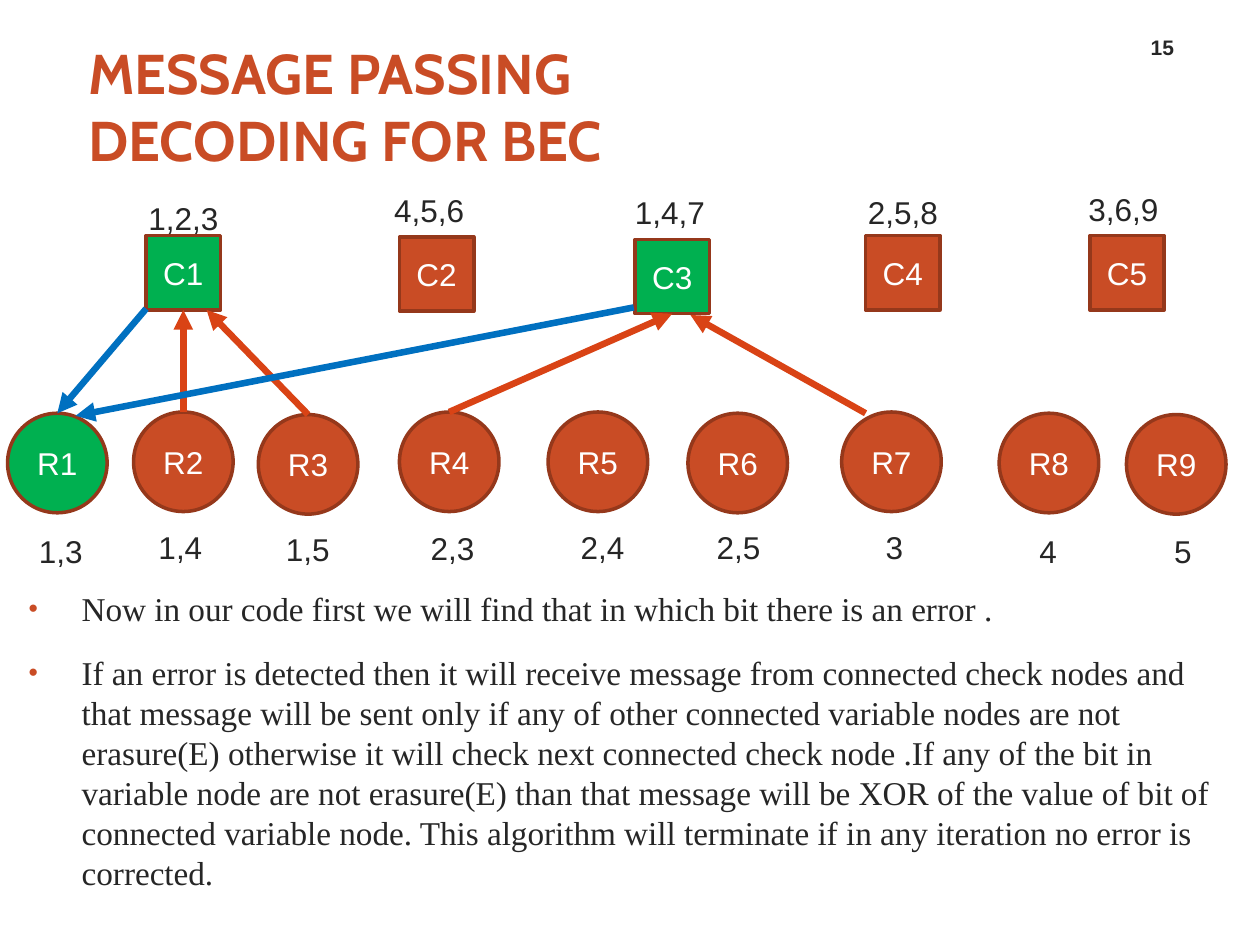
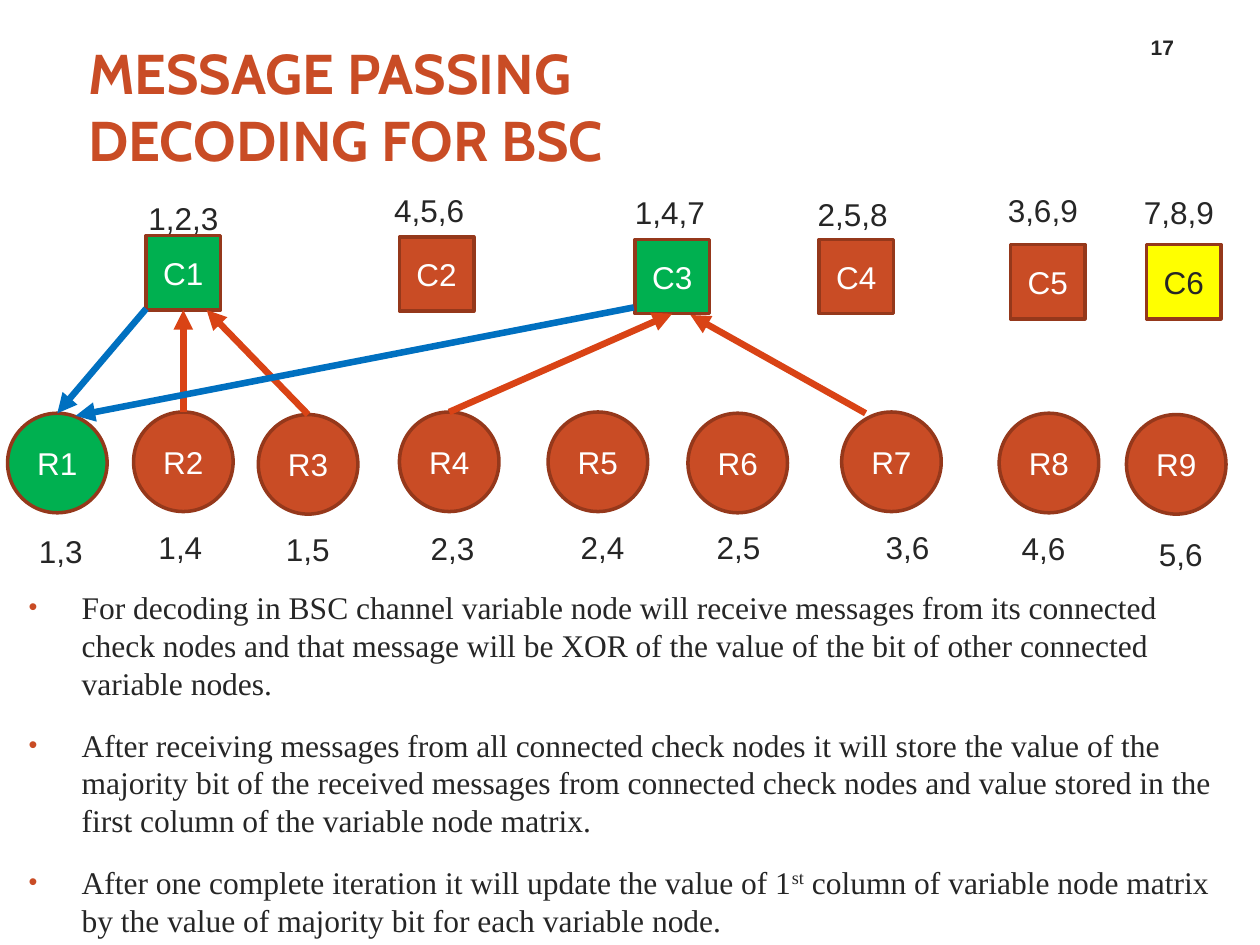
from pptx import Presentation
from pptx.dml.color import RGBColor as Rgb
from pptx.enum.shapes import MSO_CONNECTOR as Conn, MSO_SHAPE as Shape
from pptx.enum.text import MSO_ANCHOR as Anchor, MSO_AUTO_SIZE as Fit, PP_ALIGN as Align
from pptx.oxml.ns import qn
from pptx.util import Inches, Pt
from lxml.etree import SubElement

RUST = Rgb(0xC9, 0x4C, 0x25)
EDGE = Rgb(0x95, 0x38, 0x1B)
GREEN = Rgb(0x00, 0xB0, 0x50)
YELLOW = Rgb(0xFF, 0xFF, 0x00)
BLUE = Rgb(0x00, 0x70, 0xC0)
RED = Rgb(0xD9, 0x43, 0x15)
WHITE = Rgb(0xFF, 0xFF, 0xFF)
INK = Rgb(0x26, 0x26, 0x26)

BOX, DISC = 0.59, 0.79
FILLS = {"C1": GREEN, "C3": GREEN, "R1": GREEN, "C6": YELLOW}

BITS = [
    ("R1", 0.06, 3.28), ("R2", 1.06, 3.27), ("R3", 2.05, 3.29),
    ("R4", 3.17, 3.27), ("R5", 4.35, 3.27), ("R6", 5.46, 3.28),
    ("R7", 6.68, 3.27), ("R8", 7.93, 3.28), ("R9", 8.94, 3.29),
]
CHECKS = [("C1", 1.16, 1.87), ("C2", 3.17, 1.88), ("C3", 5.04, 1.9)]
LABELS = [
    ("1,2,3", 1.08, 1.53), ("4,5,6", 3.03, 1.47), ("1,4,7", 4.94, 1.48),
    ("1,3", 0.21, 4.17), ("1,4", 1.16, 4.14), ("1,5", 2.17, 4.16),
    ("2,3", 3.32, 4.15), ("2,4", 4.51, 4.14), ("2,5", 5.59, 4.14),
]
LINKS = [
    ("R2", "C1", RED),
    ("R3", (1.64, 2.46), RED),
    ("R4", "C3", RED),
    ((6.87, 3.28), (5.48, 2.5), RED),
    ((1.16, 2.45), "R1", BLUE),
    ((5.03, 2.44), (0.6, 3.3), BLUE),
]

SLIDES = [
    {
        "title": "MESSAGE PASSING DECODING FOR BEC",
        "page": "15",
        "size": 19,
        "checks": [("C4", 6.87, 1.87), ("C5", 8.65, 1.87)],
        "labels": [
            ("2,5,8", 6.79, 1.48), ("3,6,9", 8.54, 1.46),
            ("3", 6.93, 4.14), ("4", 8.15, 4.17), ("5", 9.22, 4.17),
        ],
        "points": [
            "Now in our code first we will find that in which bit there is an error .",
            "If an error is detected then it will receive message from connected check "
            "nodes and that message will be sent only if any of other connected variable "
            "nodes are not erasure(E) otherwise it will check next connected check node "
            ".If any of the bit in variable node are not erasure(E) than that message "
            "will be XOR of the value of bit of connected variable node. This algorithm "
            "will terminate if in any iteration no error is corrected.",
        ],
    },
    {
        "title": "MESSAGE PASSING DECODING FOR BSC",
        "page": "17",
        "size": 18,
        "checks": [("C4", 6.5, 1.9), ("C5", 8.02, 1.94), ("C6", 9.1, 1.94)],
        "labels": [
            ("2,5,8", 6.39, 1.5), ("3,6,9", 7.9, 1.47), ("7,8,9", 8.98, 1.48),
            ("3,6", 6.93, 4.14), ("4,6", 8.01, 4.15), ("5,6", 9.1, 4.2),
        ],
        "points": [
            "For decoding in BSC channel variable node will receive messages from its "
            "connected check nodes and that message will be XOR of the value of the bit "
            "of other connected variable nodes.",
            "After receiving messages from all connected check nodes it will store the "
            "value of the majority bit of the received messages from connected check "
            "nodes and value stored in the first column of the variable node matrix.",
            "After one complete iteration it will update the value of 1^st^ column of "
            "variable node matrix by the value of majority bit for each variable node.",
        ],
    },
]


def style(para, size, color, face="Arial", bold=False):
    font = para.font
    font.name, font.size, font.bold = face, Pt(size), bold
    font.color.rgb = color


def add_title(slide, text):
    title = slide.shapes.title
    title.left, title.top = Inches(0.5), Inches(0.4)
    title.width, title.height = Inches(5.33), Inches(0.87)
    frame = title.text_frame
    frame.text = text
    frame.auto_size = Fit.NONE
    frame.vertical_anchor = Anchor.MIDDLE
    frame.margin_left = frame.margin_right = 0
    para = frame.paragraphs[0]
    para.alignment = Align.LEFT
    props = para._p.get_or_add_pPr()
    props.set("marL", str(Inches(0.2)))
    props.set("indent", "0")
    style(para, 32, RUST, "Cabin", True)


def add_text(slide, x, y, w, h, text=""):
    box = slide.shapes.add_textbox(Inches(x), Inches(y), Inches(w), Inches(h))
    frame = box.text_frame
    frame.word_wrap = True
    frame.text = text
    return frame


def add_label(slide, text, x, y):
    style(add_text(slide, x, y, 1.07, 0.4, text).paragraphs[0], 18, INK)


def add_page(slide, text):
    frame = add_text(slide, 8.95, 0.19, 0.55, 0.33, text)
    frame.vertical_anchor = Anchor.BOTTOM
    para = frame.paragraphs[0]
    para.alignment = Align.CENTER
    style(para, 12, INK, bold=True)


def add_points(slide, points, size):
    frame = add_text(slide, 0.06, 4.62, 9.66, 2.88)
    for i, point in enumerate(points):
        para = frame.add_paragraph() if i else frame.paragraphs[0]
        add_bullet(para)
        if i:
            para.space_before = Pt(0.2 * size)
        para.space_after = Pt(10)
        style(para, size, INK, "Times New Roman")
        for j, part in enumerate(point.split("^")):
            run = para.add_run()
            run.text = part
            if j % 2:
                run.font._element.set("baseline", "30000")


def add_bullet(para):
    props = para._p.get_or_add_pPr()
    props.set("marL", str(Inches(0.49)))
    props.set("indent", str(Inches(-0.42)))
    color = SubElement(props, qn("a:buClr"))
    SubElement(color, qn("a:srgbClr"), val=str(RUST))
    SubElement(props, qn("a:buSzPct"), val="80000")
    SubElement(props, qn("a:buFont"), typeface="Arial")
    SubElement(props, qn("a:buChar"), char="•")


def add_node(slide, kind, size, name, x, y):
    node = slide.shapes.add_shape(kind, Inches(x), Inches(y), Inches(size), Inches(size))
    node.shadow.inherit = False
    fill = FILLS.get(name, RUST)
    node.fill.solid()
    node.fill.fore_color.rgb = fill
    node.line.color.rgb = EDGE
    node.line.width = Pt(2)
    frame = node.text_frame
    frame.text = name
    frame.vertical_anchor = Anchor.MIDDLE
    para = frame.paragraphs[0]
    para.alignment = Align.CENTER
    style(para, 18, INK if fill == YELLOW else WHITE)
    return node


def add_link(slide, nodes, start, end, color):
    link = slide.shapes.add_connector(Conn.STRAIGHT, 0, 0, 0, 0)
    if start in nodes:
        link.begin_connect(nodes[start], 0)
    else:
        link.begin_x, link.begin_y = map(Inches, start)
    if end in nodes:
        link.end_connect(nodes[end], 2 if end[0] == "C" else 0)
    else:
        link.end_x, link.end_y = map(Inches, end)
    link.line.color.rgb = color
    link.line.width = Pt(3.75)
    SubElement(link.line._get_or_add_ln(), qn("a:tailEnd"), type="triangle")
    SubElement(link._element.spPr, qn("a:effectLst"))


def add_graph(slide, checks, labels):
    nodes = {}
    for kind, size, group in (
        (Shape.OVAL, DISC, BITS),
        (Shape.RECTANGLE, BOX, CHECKS + checks),
    ):
        for name, x, y in group:
            nodes[name] = add_node(slide, kind, size, name, x, y)
    for label in LABELS + labels:
        add_label(slide, *label)
    for link in LINKS:
        add_link(slide, nodes, *link)


def main():
    deck = Presentation()
    deck.slide_width, deck.slide_height = Inches(10), Inches(7.5)
    for item in SLIDES:
        slide = deck.slides.add_slide(deck.slide_layouts[5])
        add_title(slide, item["title"])
        add_points(slide, item["points"], item["size"])
        add_graph(slide, item["checks"], item["labels"])
        add_page(slide, item["page"])
    deck.save("out.pptx")


if __name__ == "__main__":
    main()
